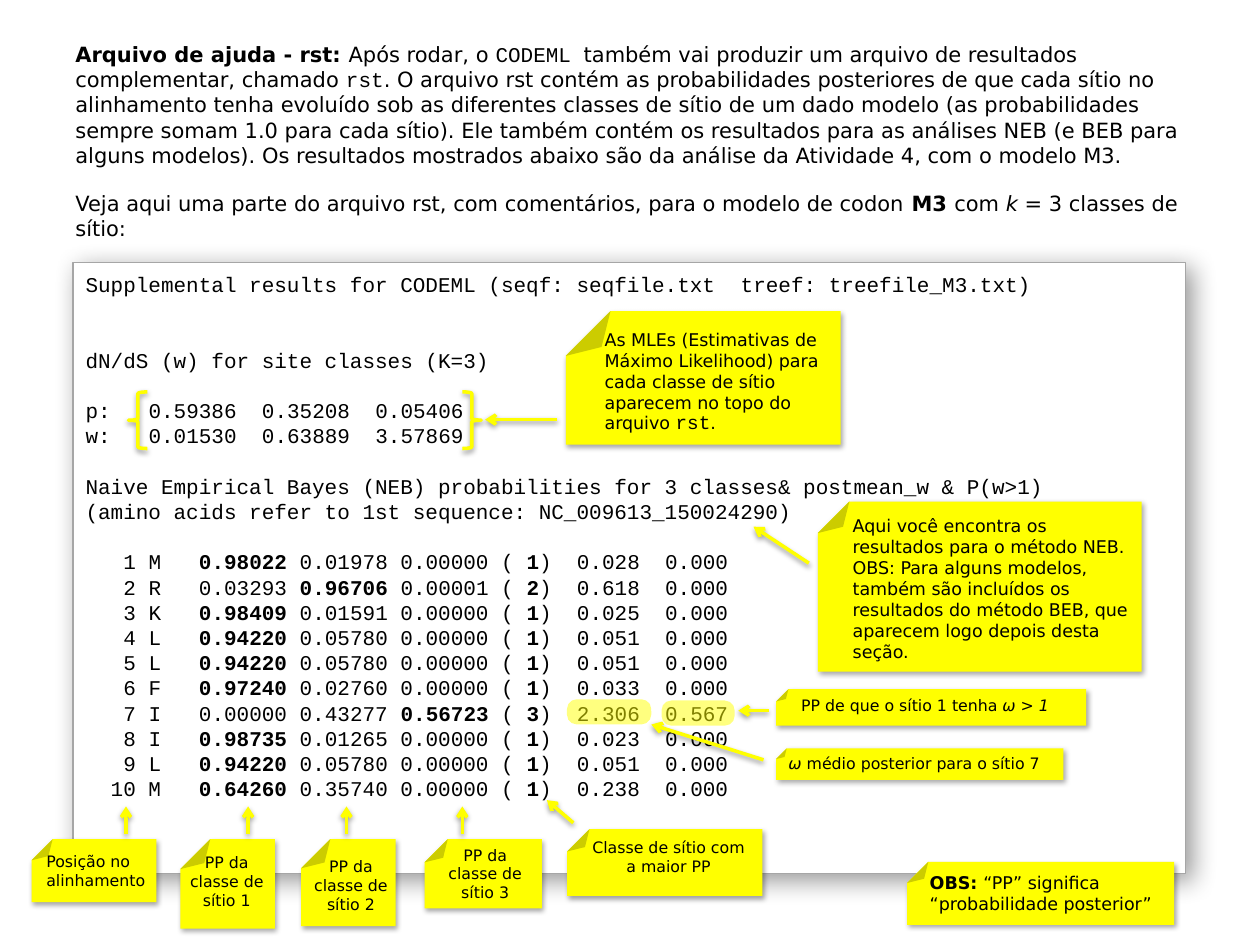
from dataclasses import dataclass

import lxml.etree
import pptx
import pptx.dml.color
import pptx.enum.shapes
import pptx.enum.text
import pptx.oxml.ns
import pptx.util

Pt = pptx.util.Pt
ShapeType = pptx.enum.shapes.MSO_SHAPE
Align = pptx.enum.text.PP_ALIGN
COLORS = {"black": "000000", "paper": "FFFFFF", "border": "A6A6A6", "note": "FFFF00"}
SANS, MONO = "DejaVu Sans", "Courier New"
LINE_FACTOR = 1.2   # line pitch relative to the text size
CODE_SIZE = 12
CODE_PITCH = CODE_SIZE * LINE_FACTOR
CHARACTER = 7.2     # width of one code character


@dataclass
class Run:
    text: str
    bold: bool = False
    italic: bool = False
    font: str = SANS
    size: float = 0  # 0 means the size of the paragraph


@dataclass
class Shadow:
    alpha: int
    blur: float
    distance: float
    angle: int


@dataclass
class Note:
    paper: tuple  # left, top, width, height
    text: tuple
    paragraphs: list
    size: float = 9
    fold: float = 0.335
    align: Align = Align.LEFT


@dataclass
class CodeLine:
    runs: list
    tabs: tuple = ()       # (column, alignment) pairs
    blank_before: int = 0  # empty lines above


PANEL_SHADOW = Shadow(40, 15, 5, 45)
NOTE_SHADOW = Shadow(35, 3.1, 1.8, 58)
LINE_SHADOW = Shadow(38, 3.1, 1.6, 90)


def rgb(name: str):
    return pptx.dml.color.RGBColor.from_string(COLORS[name])


def add_element(parent, tag: str, **attributes):
    element = lxml.etree.SubElement(parent, pptx.oxml.ns.qn(tag))
    for key, value in attributes.items():
        element.set(key, str(value))
    return element


def add_shadow(effects, shadow: Shadow) -> None:
    outer = add_element(effects, "a:outerShdw", blurRad=int(Pt(shadow.blur)),
                        dist=int(Pt(shadow.distance)), dir=shadow.angle * 60000,
                        algn="ctr", rotWithShape=0)
    color = add_element(outer, "a:srgbClr", val=COLORS["black"])
    add_element(color, "a:alpha", val=shadow.alpha * 1000)


def add_box(slide, kind, box: tuple, fill=None, line=None, weight=0.75, shadow=None):
    shape = slide.shapes.add_shape(kind, *map(Pt, box))
    shape.shadow.inherit = False
    if fill:
        shape.fill.solid()
        shape.fill.fore_color.rgb = rgb(fill)
    else:
        shape.fill.background()
    if line:
        shape.line.color.rgb = rgb(line)
        shape.line.width = Pt(weight)
    else:
        shape.line.fill.background()
    if shadow:
        add_shadow(shape._element.spPr.find(pptx.oxml.ns.qn("a:effectLst")), shadow)
    return shape


def write_paragraph(paragraph, runs: list, size: float, align=Align.LEFT) -> None:
    paragraph.alignment = align
    paragraph.line_spacing = Pt(size * LINE_FACTOR)
    for item in runs:
        run = paragraph.add_run()
        run.text = item.text
        run.font.name = item.font
        run.font.size = Pt(item.size or size)
        run.font.bold = item.bold
        run.font.italic = item.italic
        run.font.color.rgb = rgb("black")


def paragraphs_for(frame, count: int) -> list:
    return [frame.paragraphs[0]] + [frame.add_paragraph() for _ in range(count - 1)]


def add_text(slide, box: tuple, paragraphs: list, size: float, align=Align.LEFT) -> None:
    frame = slide.shapes.add_textbox(*map(Pt, box)).text_frame
    frame.word_wrap = True
    for paragraph, runs in zip(paragraphs_for(frame, len(paragraphs)), paragraphs):
        write_paragraph(paragraph, runs, size, align)


def add_note(slide, note: Note) -> None:
    shape = add_box(slide, ShapeType.FOLDED_CORNER, note.paper, "note", shadow=NOTE_SHADOW)
    # python-pptx offers no adjustment for this preset
    geometry = shape._element.spPr.find(pptx.oxml.ns.qn("a:prstGeom"))
    geometry.set("prst", "foldedCorner")
    guides = geometry.find(pptx.oxml.ns.qn("a:avLst"))
    add_element(guides, "a:gd", name="adj", fmla=f"val {round(note.fold * 100000)}")
    shape.rotation = 180
    add_text(slide, note.text, note.paragraphs, note.size, note.align)


def add_arrow(slide, start: tuple, end: tuple) -> None:
    arrow = slide.shapes.add_connector(pptx.enum.shapes.MSO_CONNECTOR.STRAIGHT,
                                       *map(Pt, start + end))
    arrow.line.color.rgb = rgb("note")
    arrow.line.width = Pt(2)
    add_element(arrow.line._get_or_add_ln(), "a:tailEnd", type="arrow")
    add_shadow(add_element(arrow._element.spPr, "a:effectLst"), LINE_SHADOW)


def code(text: str, tabs: tuple = (), blank_before: int = 0) -> CodeLine:
    return CodeLine([Run(text, font=MONO)], tabs, blank_before)


def site_line(index: int, residue: str, values: str, mean: str, above_one: str) -> CodeLine:
    """One site; its most probable class is bold."""
    probabilities = values.split()
    best = probabilities.index(max(probabilities))
    pieces = [(f"\t{index} {residue}\t", False)]
    for position, value in enumerate(probabilities):
        pieces += [(value, position == best), (" ", False)]
    pieces += [("( ", False), (str(best + 1), True), (f")\t{mean}\t{above_one}", False)]
    runs = [Run(text, bold, font=MONO) for text, bold in pieces]
    return CodeLine(runs, ((6, "r"), (9, "l"), (39, "l"), (46, "l")), int(index == 1))


SITES = [
    ("M", "0.98022 0.01978 0.00000", "0.028", "0.000"),
    ("R", "0.03293 0.96706 0.00001", "0.618", "0.000"),
    ("K", "0.98409 0.01591 0.00000", "0.025", "0.000"),
    ("L", "0.94220 0.05780 0.00000", "0.051", "0.000"),
    ("L", "0.94220 0.05780 0.00000", "0.051", "0.000"),
    ("F", "0.97240 0.02760 0.00000", "0.033", "0.000"),
    ("I", "0.00000 0.43277 0.56723", "2.306", "0.567"),
    ("I", "0.98735 0.01265 0.00000", "0.023", "0.000"),
    ("L", "0.94220 0.05780 0.00000", "0.051", "0.000"),
    ("M", "0.64260 0.35740 0.00000", "0.238", "0.000"),
]
ESTIMATE_TABS = ((5, "l"), (14, "l"), (23, "l"))
LISTING = [
    code("Supplemental results for CODEML (seqf: seqfile.txt\ttreef: treefile_M3.txt)", ((52, "l"),)),
    code("dN/dS (w) for site classes (K=3)", blank_before=2),
    code("p:\t0.59386\t0.35208\t0.05406", ESTIMATE_TABS, 1),
    code("w:\t0.01530\t0.63889\t3.57869", ESTIMATE_TABS),
    code("Naive Empirical Bayes (NEB) probabilities for 3 classes& postmean_w & P(w>1)", blank_before=1),
    code("(amino acids refer to 1st sequence: NC_009613_150024290)"),
] + [site_line(index, *site) for index, site in enumerate(SITES, 1)]

INTRODUCTION = [
    Run("Arquivo de ajuda - rst: ", bold=True), Run("Após rodar, o "), Run("CODEML ", font=MONO),
    Run("também vai produzir um arquivo de resultados complementar, chamado "), Run("rst", font=MONO),
    Run(". O arquivo rst contém as probabilidades posteriores de que cada sítio no alinhamento "
        "tenha evoluído sob as diferentes classes de sítio de um dado modelo (as probabilidades "
        "sempre somam 1.0 para cada sítio). Ele também contém os resultados para as análises NEB "
        "(e BEB para alguns modelos). Os resultados mostrados abaixo são da análise da Atividade 4, "
        "com o modelo M3."),
]
LEAD_IN = [Run("Veja aqui uma parte do arquivo rst, com comentários, para o modelo de codon "),
           Run("M3 ", bold=True), Run("com "), Run("k", italic=True), Run(" = 3 classes de sítio:")]

NOTES = [
    Note((467.3, 286.6, 185, 97.2), (480.2, 290.9, 172.1, 92.2),
         [[Run("Aqui você encontra os resultados para o método NEB.")],
          [Run("OBS: Para alguns modelos, também são incluídos os resultados do método BEB, "
               "que aparecem logo depois desta seção.")]], 10, 0.185),
    Note((323.3, 177.8, 157, 76.3), (338.4, 184.3, 149.8, 69.1),
         [[Run("As MLEs (Estimativas de Máximo Likelihood) para cada classe de sítio aparecem "
               "no topo do arquivo "), Run("rst", font=MONO, size=11), Run(".")]], 10),
    Note((518.4, 492.5, 152.6, 36), (524.2, 494.6, 153.4, 31.7),
         [[Run("OBS: ", bold=True), Run("“PP” significa “probabilidade posterior”")]], 10),
    Note((18, 479.5, 71.3, 36), (19.4, 483.1, 71.3, 51.1), [[Run("Posição no alinhamento")]]),
    Note((324, 473.8, 111.6, 38.2), (331.2, 475.2, 101.5, 51.1),
         [[Run("Classe de sítio com a maior PP")]], align=Align.CENTER),
    Note((443.5, 393.8, 177.1, 20.9), (450.7, 393.8, 164.9, 18),
         [[Run("PP de que o sítio 1 tenha "), Run("ω > 1", italic=True)]]),
    Note((443.5, 427.7, 164.2, 18), (443.5, 427, 213.8, 18),
         [[Run("ω ", italic=True), Run("médio posterior para o sítio 7")]]),
]
CLASS_BOXES = [((103, 479.5, 54, 51.1), (97.2, 483.8, 64.8, 41)),
               ((172.1, 479.5, 54, 49.7), (169.9, 486, 61.2, 36.7)),
               ((242.6, 479.5, 67, 39.6), (243.4, 479.5, 67.7, 43.2))]
NOTES += [Note(paper, text, [[Run(f"PP da classe de sítio {number}")]], align=Align.CENTER)
          for number, (paper, text) in enumerate(CLASS_BOXES, 1)]

ARROWS = [((462.2, 321.8), (430.6, 301)), ((318.2, 239.8), (277.2, 239.8)),
          ((327.6, 470.2), (312.5, 457.2)), ((436.3, 434.2), (372.2, 414)),
          ((439.2, 406.1), (421.9, 406.1))]
ARROWS += [((x, 476.6), (x, 460.8)) for x in (72, 141.8, 198, 264.2)]


def add_listing(slide) -> None:
    panel = add_box(slide, ShapeType.RECTANGLE, (41.8, 149.8, 635.8, 349.2),
                    "paper", "border", shadow=PANEL_SHADOW)
    frame = panel.text_frame
    frame.word_wrap = True
    frame.vertical_anchor = pptx.enum.text.MSO_ANCHOR.TOP
    frame.margin_top = Pt(5.4)
    for paragraph, line in zip(paragraphs_for(frame, len(LISTING)), LISTING):
        write_paragraph(paragraph, line.runs, CODE_SIZE)
        paragraph.space_before = Pt(line.blank_before * CODE_PITCH)
        if line.tabs:
            tab_list = add_element(paragraph._p.get_or_add_pPr(), "a:tabLst")
            for column, alignment in line.tabs:
                add_element(tab_list, "a:tab", pos=int(Pt(column * CHARACTER)), algn=alignment)


def main() -> None:
    presentation = pptx.Presentation()
    presentation.slide_width, presentation.slide_height = Pt(720), Pt(540)
    slide = presentation.slides.add_slide(presentation.slide_layouts[6])
    # Program output and introduction
    add_listing(slide)
    add_text(slide, (36, 20.2, 660.2, 79.9), [INTRODUCTION], 12)
    add_text(slide, (36, 105.1, 660.2, 36), [LEAD_IN], 12)
    # Highlighted values of site 7
    for box in ((324, 399.6, 48.2, 14.4), (378, 400.3, 41.8, 14.4)):
        marker = add_box(slide, ShapeType.ROUNDED_RECTANGLE, box, "note")
        marker.adjustments[0] = 0.39
        color = marker._element.spPr.find(".//" + pptx.oxml.ns.qn("a:srgbClr"))
        add_element(color, "a:alpha", val=50000)
    # Sticky notes and their arrows
    for note in NOTES:
        add_note(slide, note)
    for start, end in ARROWS:
        add_arrow(slide, start, end)
    # Braces around the estimates
    for left, rotation in ((264.2, 0), (73.4, 180)):
        brace = add_box(slide, ShapeType.RIGHT_BRACE, (left, 223.9, 10.8, 32.4),
                        line="note", weight=2, shadow=LINE_SHADOW)
        brace.rotation = rotation
    presentation.save("out.pptx")


if __name__ == "__main__":
    main()
